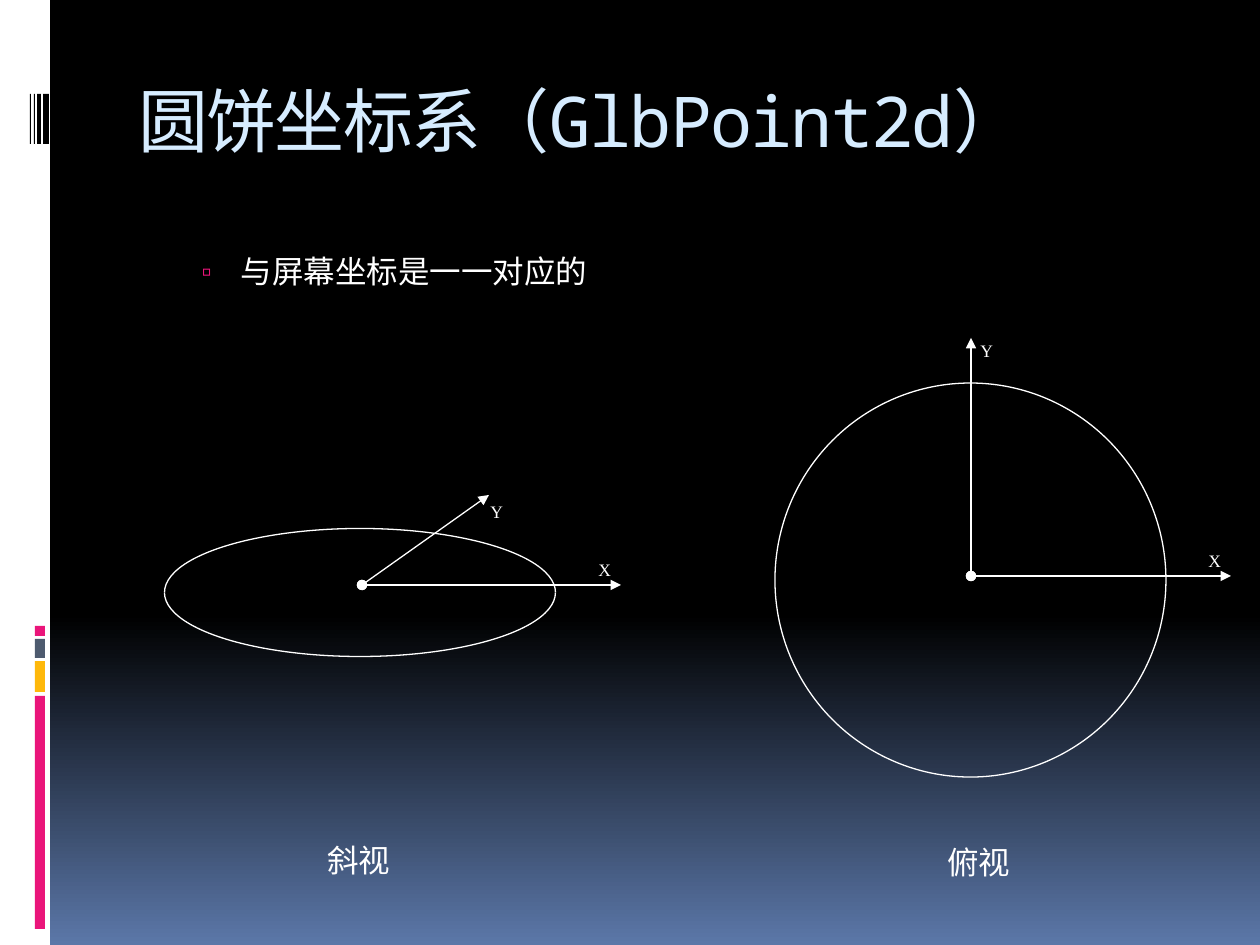
from typing import NamedTuple

from lxml.etree import SubElement
from pptx import Presentation
from pptx.dml.color import RGBColor
from pptx.enum.shapes import MSO_CONNECTOR, MSO_SHAPE
from pptx.enum.text import MSO_ANCHOR, MSO_AUTO_SIZE, PP_ALIGN
from pptx.oxml.ns import qn
from pptx.util import Emu, Pt

COLORS = {
    "white": "FFFFFF", "black": "000000", "blue": "5B77A8", "title": "D6ECFF",
    "pink": "EA157A", "amber": "FEB80A", "slate": "4E5B6F",
}
PX_PER_INCH = 126


class Box(NamedTuple):
    x: int
    y: int
    w: int
    h: int


class Block(NamedTuple):
    box: Box
    color: str


class Label(NamedTuple):
    text: str
    box: Box


class Axis(NamedTuple):
    tip: tuple[int, int]
    origin: tuple[int, int]


def px(n: int) -> Emu:
    return Emu(round(n * 914400 / PX_PER_INCH))


def rgb(name: str) -> RGBColor:
    return RGBColor.from_string(COLORS[name])


def place(sp, box: Box) -> None:
    sp.left, sp.top, sp.width, sp.height = map(px, box)


def add_run(p, text: str, size: int, font: str, color: str):
    r = p.add_run()
    r.text = text
    r.font.size = Pt(size)
    r.font.name = font
    r.font.color.rgb = rgb(color)
    return r


def add_block(shapes, block: Block) -> None:
    sp = shapes.add_shape(MSO_SHAPE.RECTANGLE, *map(px, block.box))
    sp.shadow.inherit = False
    sp.fill.solid()
    sp.fill.fore_color.rgb = rgb(block.color)
    sp.line.fill.background()


def add_outline(shapes, kind: MSO_SHAPE, box: Box):
    sp = shapes.add_shape(kind, *map(px, box))
    sp.shadow.inherit = False
    sp.fill.background()
    sp.line.color.rgb = rgb("white")
    sp.line.width = Pt(0.75)
    return sp


def add_axis(shapes, axis: Axis) -> None:
    line = shapes.add_connector(
        MSO_CONNECTOR.STRAIGHT, *map(px, axis.tip + axis.origin))
    line.line.color.rgb = rgb("white")
    line.line.width = Pt(0.75)
    ln = line.line._get_or_add_ln()
    SubElement(ln, qn("a:headEnd"), type="triangle")
    SubElement(ln, qn("a:tailEnd"), type="oval")
    SubElement(line._element.spPr, qn("a:effectLst"))


def add_label(shapes, label: Label, size: int, font: str, wrap: bool) -> None:
    tf = shapes.add_textbox(*map(px, label.box)).text_frame
    tf.word_wrap = wrap
    tf.auto_size = MSO_AUTO_SIZE.NONE if wrap else MSO_AUTO_SIZE.SHAPE_TO_FIT_TEXT
    add_run(tf.paragraphs[0], label.text, size, font, "white")


def add_axes(shapes, axes: list[Axis], labels: list[Label]) -> None:
    for label in labels:
        add_label(shapes, label, 10, "Times New Roman", True)
    for axis in axes:
        add_axis(shapes, axis)


# Slide and background
prs = Presentation()
prs.slide_width, prs.slide_height = px(1260), px(945)
s = prs.slides.add_slide(prs.slide_layouts[1])
fill = s.background.fill
fill.gradient()
fill.gradient_angle = 270
for stop, (position, color) in zip(fill.gradient_stops, [(0.65, "black"), (1, "blue")]):
    stop.position = position
    stop.color.rgb = rgb(color)

# Side strip with coloured blocks and thin bars
BLOCKS = [Block(Box(0, 0, 50, 945), "white")]
BLOCKS += [Block(Box(35, y, 10, h), color) for y, h, color in [
    (696, 233, "pink"), (661, 31, "amber"), (639, 19, "slate"), (626, 10, "pink")]]
BLOCKS += [Block(Box(x, 94, w, 50), "black")
           for x, w in [(43, 6), (37, 4), (34, 1), (30, 1)]]
for block in BLOCKS:
    add_block(s.shapes, block)

# Title
title = s.shapes.title
place(title, Box(126, 71, 1071, 126))
tf = title.text_frame
tf.auto_size = MSO_AUTO_SIZE.NONE
tf.vertical_anchor = MSO_ANCHOR.TOP
p = tf.paragraphs[0]
p.alignment = PP_ALIGN.LEFT
r = add_run(p, "圆饼坐标系（GlbPoint2d）", 40, "Noto Sans Mono", "title")
r.font._element.set("spc", "-100")

# Body bullet
body = s.placeholders[1]
place(body, Box(126, 246, 1071, 630))
tf = body.text_frame
tf.auto_size = MSO_AUTO_SIZE.NONE
p = tf.paragraphs[0]
p.level = 1
p.space_before = Pt(3.6)
pPr = p._p.get_or_add_pPr()
pPr.set("marL", str(px(102)))
pPr.set("indent", str(px(-39)))
SubElement(SubElement(pPr, qn("a:buClr")), qn("a:srgbClr"), val=COLORS["pink"])
SubElement(pPr, qn("a:buSzPct"), val="90000")
SubElement(pPr, qn("a:buChar"), char="▫")
add_run(p, "与屏幕坐标是一一对应的", 18, "Calibri", "white")

# Oblique view: two brackets turned into the halves of a flat ellipse
oblique = s.shapes.add_group_shape().shapes
for top, rotation in [(429, 270), (365, 90)]:
    half = add_outline(oblique, MSO_SHAPE.LEFT_BRACKET, Box(328, top, 64, 391))
    half.adjustments[0] = 3.07
    half.rotation = rotation
add_axes(
    oblique,
    [Axis((621, 585), (362, 585)), Axis((489, 495), (362, 585))],
    [Label("Y", Box(478, 495, 54, 35)), Label("X", Box(586, 553, 43, 39))],
)

# Top view: full circle
overhead = s.shapes.add_group_shape().shapes
add_outline(overhead, MSO_SHAPE.OVAL, Box(775, 383, 391, 394))
add_axes(
    overhead,
    [Axis((971, 338), (971, 576)), Axis((1231, 576), (971, 576))],
    [Label("Y", Box(968, 334, 54, 35)), Label("X", Box(1196, 544, 43, 39))],
)

# Captions
for caption in [Label("俯视", Box(935, 837, 89, 50)), Label("斜视", Box(315, 835, 89, 50))]:
    add_label(s.shapes, caption, 18, "Calibri", False)

prs.save("out.pptx")
